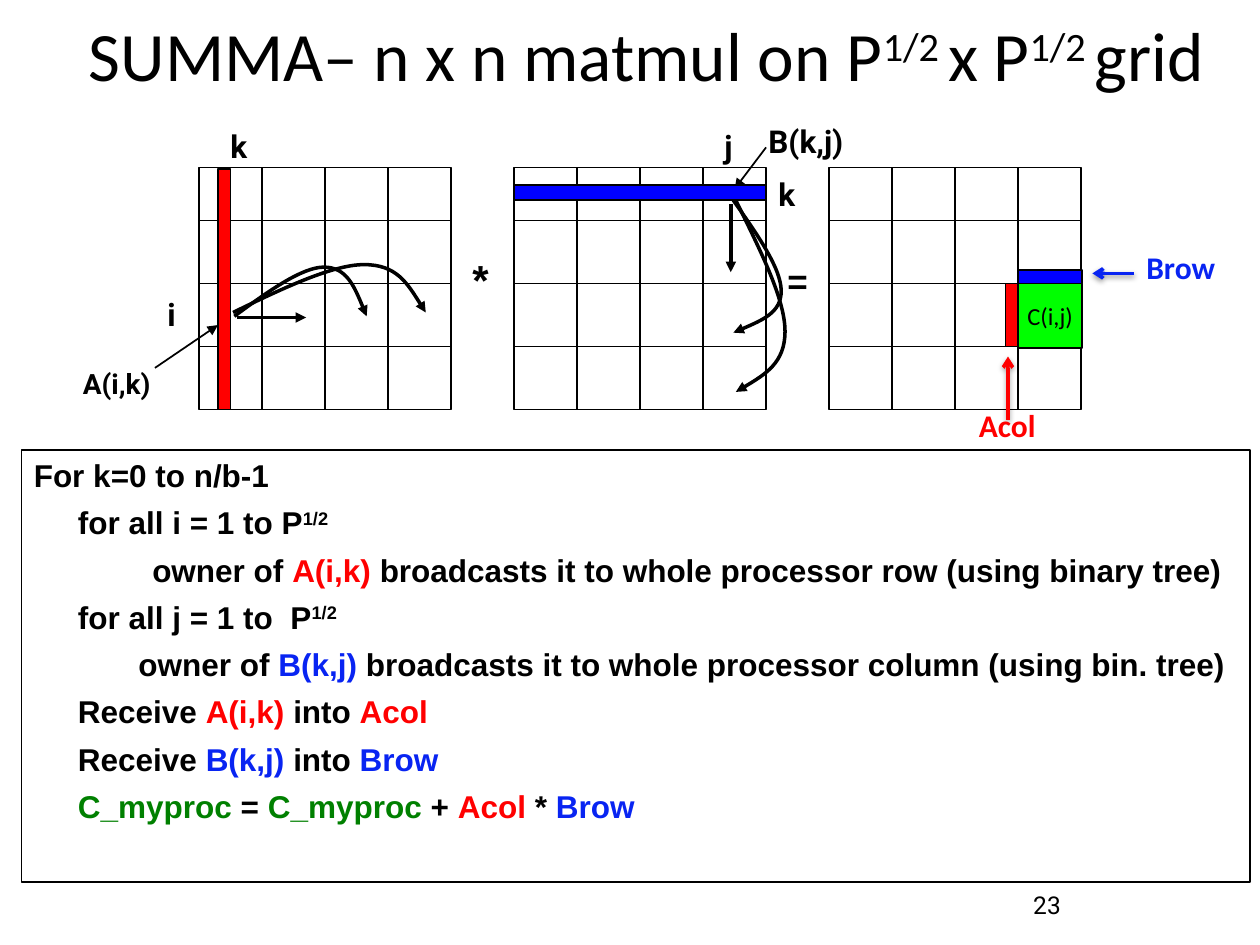
from dataclasses import dataclass

from lxml.etree import SubElement
from pptx import Presentation
from pptx.dml.color import RGBColor
from pptx.enum.shapes import MSO_CONNECTOR as Conn, MSO_SHAPE as Shape
from pptx.enum.text import MSO_ANCHOR as Anchor, MSO_AUTO_SIZE as Fit, PP_ALIGN as Align
from pptx.oxml.ns import qn
from pptx.util import Inches, Pt


@dataclass(frozen=True)
class Theme:
    black: str = "000000"
    red: str = "FF0000"
    blue: str = "0000FF"
    ink: str = "0824F2"
    lime: str = "00FF00"
    green: str = "008000"
    sans: str = "Calibri"
    code: str = "Arial"
    mark: str = "Roboto"
    title: float = 39.6
    star: float = 24
    equal: float = 20
    body: float = 18
    small: float = 16
    cell: float = 14
    thin: float = 1
    thick: float = 2


T = Theme()
TOP, BASE, STEP, SIDE = 1.33, 3.25, 0.5, 2


def rgb(color):
    return RGBColor.from_string(color)


def style(para, size, face, bold=False, color=T.black):
    font = para.font
    font.size, font.name, font.bold = Pt(size), face, bold
    font.color.rgb = rgb(color)


def add_runs(para, parts):
    """Add plain strings, or (text, color) pairs; color "sup" raises the text."""
    for part in parts:
        text, look = (part, None) if isinstance(part, str) else part
        run = para.add_run()
        run.text = text
        if look == "sup":
            run._r.get_or_add_rPr().set("baseline", "30000")
        elif look:
            run.font.color.rgb = rgb(look)


def add_text(slide, box, parts, size, face, bold=False, color=T.black):
    """Place one line of text that starts at the box's left edge."""
    shape = slide.shapes.add_textbox(*map(Inches, box))
    frame = shape.text_frame
    frame.word_wrap = False
    para = frame.paragraphs[0]
    add_runs(para, parts)
    style(para, size, face, bold, color)
    return shape


def center(shape):
    frame = shape.text_frame
    frame.word_wrap = True
    frame.auto_size = Fit.NONE
    frame.vertical_anchor = Anchor.MIDDLE
    frame.paragraphs[0].alignment = Align.CENTER


def add_box(slide, box, fill=None):
    shape = slide.shapes.add_shape(Shape.RECTANGLE, *map(Inches, box))
    shape.shadow.inherit = False
    if fill:
        shape.fill.solid()
        shape.fill.fore_color.rgb = rgb(fill)
    else:
        shape.fill.background()
    shape.line.color.rgb = rgb(T.black)
    shape.line.width = Pt(T.thin)
    return shape


def draw_line(shape, color, width, head):
    shape.line.color.rgb = rgb(color)
    shape.line.width = Pt(width)
    if head:
        SubElement(shape.line._get_or_add_ln(), qn("a:tailEnd"), type=head)


def add_line(slide, start, end, color=T.black, width=T.thin, head=None, shade=False):
    line = slide.shapes.add_connector(Conn.STRAIGHT, *map(Inches, start + end))
    draw_line(line, color, width, head)
    effects = SubElement(line._element.spPr, qn("a:effectLst"))
    if shade:
        shadow = SubElement(effects, qn("a:outerShdw"), blurRad=str(Pt(3.1)),
                            dist=str(Pt(1.6)), dir="5400000", rotWithShape="0")
        tone = SubElement(shadow, qn("a:srgbClr"), val=T.black)
        SubElement(tone, qn("a:alpha"), val="38000")


def add_curve(slide, *points):
    """Draw an arrow along Bezier arcs: a start, then three points per arc."""
    first, *rest = [tuple(map(Inches, point)) for point in points]
    build = slide.shapes.build_freeform(*first)
    build.add_line_segments(rest, close=False)
    curve = build.convert_to_shape()
    curve.shadow.inherit = False
    curve.fill.background()
    draw_line(curve, T.black, T.thick, "triangle")
    path = curve._element.find(".//" + qn("a:path"))
    legs = path.findall(qn("a:lnTo"))
    for at in range(0, len(legs), 3):
        arc = SubElement(path, qn("a:cubicBezTo"))
        for leg in legs[at:at + 3]:
            arc.append(leg[0])
            path.remove(leg)


def add_grid(slide, left):
    add_box(slide, (left, TOP, SIDE, BASE - TOP))
    for n in range(1, 4):
        x, y = left + n * STEP, BASE - n * STEP
        add_line(slide, (left, y), (left + SIDE, y))
        add_line(slide, (x, TOP), (x, BASE))


def add_code(slide, box, lines):
    """Fill a framed box with (indent, parts) lines."""
    frame = add_box(slide, box).text_frame
    frame.word_wrap = True
    frame.vertical_anchor = Anchor.TOP
    for n, (indent, parts) in enumerate(lines):
        para = frame.add_paragraph() if n else frame.paragraphs[0]
        para.alignment = Align.LEFT
        para._p.get_or_add_pPr().set("marL", str(Inches(indent)))
        if n:
            para.space_before = Pt(5.4)
        add_runs(para, parts)
        style(para, T.body, T.code, True)


def add_marks(slide):
    for text, box, size, face, color in (
        ("*", (3.65, 1.96, 0.33, 0.5), T.star, T.code, T.black),
        ("=", (6.15, 2.01, 0.36, 0.43), T.equal, T.code, T.black),
        ("i", (1.23, 2.29, 0.27, 0.4), T.body, T.mark, T.black),
        ("j", (5.65, 0.96, 0.27, 0.4), T.body, T.mark, T.black),
        ("k", (1.73, 0.96, 0.34, 0.4), T.body, T.mark, T.black),
        ("k", (6.08, 1.34, 0.34, 0.4), T.body, T.mark, T.black),
        ("A(i,k)", (0.56, 2.86, 0.76, 0.37), T.small, T.mark, T.black),
        ("B(k,j)", (6, 0.92, 0.83, 0.4), T.body, T.mark, T.black),
        ("Brow", (9, 1.92, 0.76, 0.4), T.body, T.sans, T.ink),
        ("Acol", (7.67, 3.17, 0.66, 0.4), T.body, T.sans, T.red),
    ):
        add_text(slide, box, [text], size, face, True, color)


def add_flow(slide):
    """Add the colored blocks and the broadcast arrows."""
    add_line(slide, (1.23, 2.92), (1.73, 2.58), head="triangle")
    add_line(slide, (6.08, 1.17), (5.83, 1.5), head="triangle")
    add_box(slide, (1.73, 1.34, 0.1, 1.91), T.red)
    add_box(slide, (4.08, 1.47, 2, 0.12), T.blue)
    cell = add_box(slide, (8.08, 2.25, 0.51, 0.51), T.lime)
    center(cell)
    cell.text_frame.word_wrap = False
    para = cell.text_frame.paragraphs[0]
    add_runs(para, ["C(i,j)"])
    style(para, T.cell, T.sans)
    add_box(slide, (8.08, 2.14, 0.51, 0.11), T.blue)
    add_box(slide, (7.98, 2.25, 0.1, 0.5), T.red)
    for start, end in (((1.88, 2.52), (2.43, 2.52)), ((5.8, 1.62), (5.8, 2.16))):
        add_line(slide, start, end, width=T.thick, head="triangle")
    add_curve(slide, (1.86, 2.51), (2.13, 2.31), (2.4, 2.12), (2.57, 2.12),
              (2.75, 2.12), (2.83, 2.31), (2.91, 2.51))
    add_curve(slide, (1.85, 2.48), (2.24, 2.29), (2.64, 2.1), (2.89, 2.1),
              (3.15, 2.1), (3.26, 2.29), (3.38, 2.48))
    add_curve(slide, (5.82, 1.59), (6.01, 1.86), (6.2, 2.13), (6.2, 2.31),
              (6.2, 2.48), (6.01, 2.56), (5.82, 2.64))
    add_curve(slide, (5.84, 1.59), (6.03, 1.98), (6.23, 2.37), (6.23, 2.63),
              (6.23, 2.88), (6.03, 3), (5.84, 3.11))
    add_line(slide, (9, 2.17), (8.67, 2.17), T.ink, T.thick, "arrow", True)
    add_line(slide, (8, 3.33), (8, 2.83), T.red, T.thick, "arrow", True)


def main():
    deck = Presentation()
    deck.slide_width, deck.slide_height = Inches(10), Inches(7.5)
    slide = deck.slides.add_slide(deck.slide_layouts[6])
    half = ("1/2", "sup")
    gap = ("1/2 ", "sup")
    center(add_text(slide, (7.27, 6.93, 2.08, 0.5), ["23"], T.cell, T.mark))
    center(add_text(slide, (0.42, 0.2, 9.42, 0.46),
                    ["SUMMA– n x n matmul on P", gap, "x P", gap, "grid"],
                    T.title, T.sans))
    for left in (1.58, 4.08, 6.58):
        add_grid(slide, left)
    add_flow(slide)
    a, b = ("A(i,k)", T.red), ("B(k,j)", T.ink)
    col, row, own = ("Acol", T.red), ("Brow", T.ink), ("C_myproc", T.green)
    add_code(slide, (0.17, 3.57, 9.75, 3.43), (
        (0, ["For k=0 to n/b-1"]),
        (0.35, ["for all i = 1 to P", half]),
        (0.94, ["owner of ", a, " broadcasts it to whole processor row (using binary tree)"]),
        (0.35, ["for all j = 1 to  P", half]),
        (0.83, ["owner of ", b, " broadcasts it to whole processor column (using bin. tree)"]),
        (0.35, ["Receive ", a, " into ", col]),
        (0.35, ["Receive ", b, " into ", row]),
        (0.35, [own, " = ", own, " + ", col, " * ", row]),
    ))
    add_marks(slide)
    deck.save("out.pptx")


if __name__ == "__main__":
    main()
